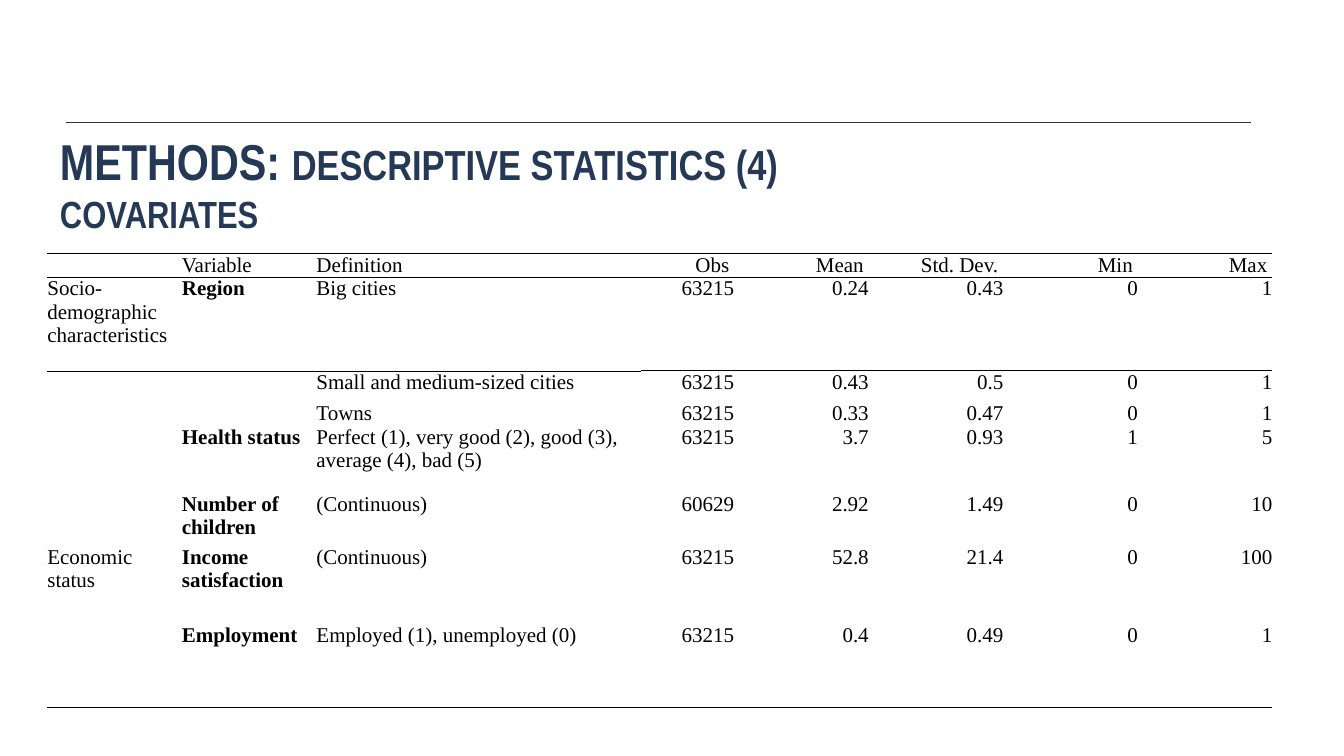
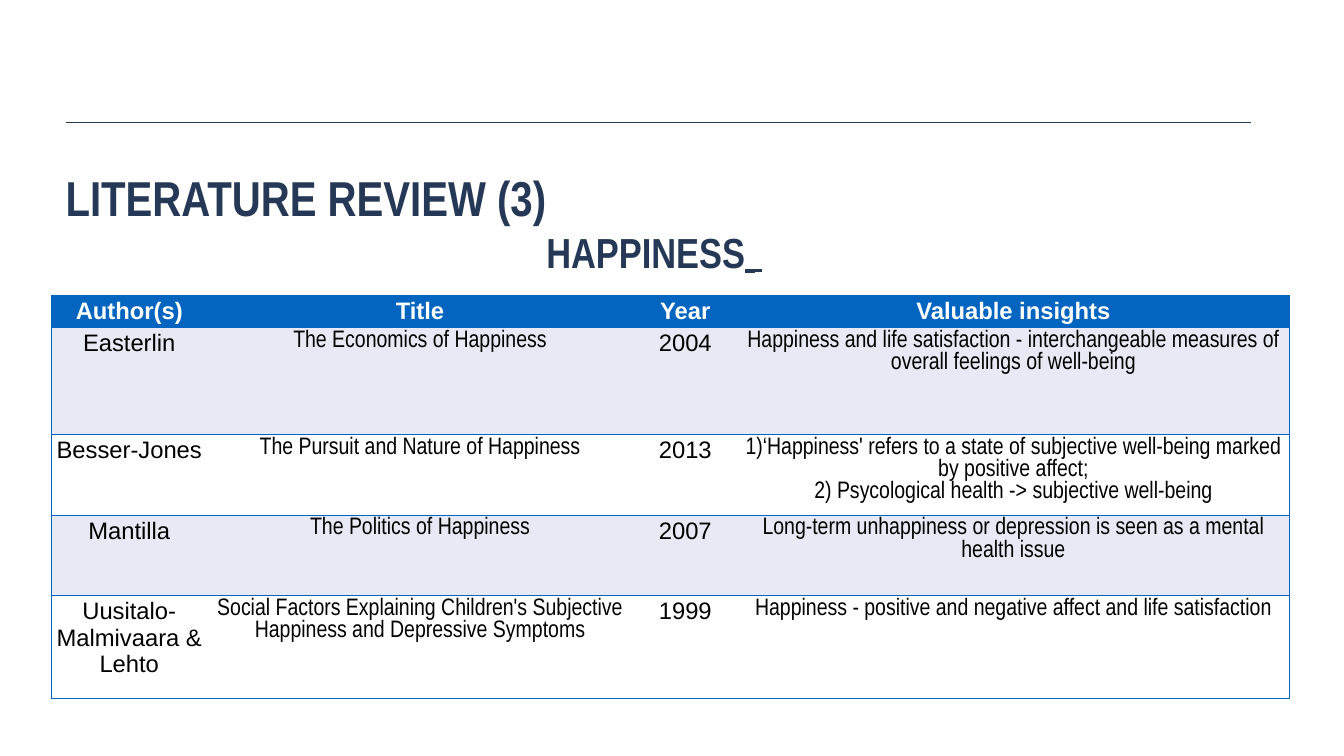
from lxml import etree
from pptx import Presentation
from pptx.dml.color import RGBColor
from pptx.enum.shapes import MSO_CONNECTOR
from pptx.enum.text import MSO_ANCHOR, MSO_AUTO_SIZE, PP_ALIGN
from pptx.oxml.ns import qn
from pptx.util import Inches, Pt

LEFT, CENTER, RIGHT = PP_ALIGN.LEFT, PP_ALIGN.CENTER, PP_ALIGN.RIGHT
TOP = MSO_ANCHOR.TOP
NO_AUTOFIT = MSO_AUTO_SIZE.NONE
STRAIGHT = MSO_CONNECTOR.STRAIGHT

COLORS = {"navy": "253957", "blue": "0365C0", "band": "E7EAF4",
          "white": "FFFFFF", "black": "000000"}
SANS, NARROW, SERIF = "Arial", "Arial Narrow", "Times New Roman"
PLAIN_TABLE_STYLE = "{2D5ABB26-0587-4C30-8999-92F81FD0307C}"
CELL_PARTS = ["lnL", "lnR", "lnT", "lnB", "noFill", "solidFill"]

SLIDE_WIDTH, SLIDE_HEIGHT = 26.67, 15
RULE_LEFT, RULE_RIGHT, RULE_TOP = 1.31, 24.83, 2.42
TITLE_WIDTH, TITLE_HEIGHT, TITLE_INSET = 23.52, 2.53, 0.08
TITLE_LEADING = 1.2

STATISTICS_HEADER = ["", "Variable", "Definition", "Obs", "Mean", "Std. Dev.", "Min", "Max"]
STATISTICS = [
    ["Socio-demographic characteristics", "Region", "Big cities",
     "63215", "0.24", "0.43", "0", "1"],
    ["", "", "Small and medium-sized cities", "63215", "0.43", "0.5", "0", "1"],
    ["", "", "Towns", "63215", "0.33", "0.47", "0", "1"],
    ["", "Health status", "Perfect (1), very good (2), good (3), average (4), bad (5)",
     "63215", "3.7", "0.93", "1", "5"],
    ["", "Number of children", "(Continuous)", "60629", "2.92", "1.49", "0", "10"],
    ["Economic status", "Income satisfaction", "(Continuous)",
     "63215", "52.8", "21.4", "0", "100"],
    ["", "Employment", "Employed (1), unemployed (0)", "63215", "0.4", "0.49", "0", "1"],
]
LITERATURE_HEADER = ["Author(s)", "Title", "Year", "Valuable insights"]
LITERATURE = [
    ["Easterlin", "The Economics of Happiness", "2004",
     "Happiness and life satisfaction - interchangeable measures of overall "
     "feelings of well-being"],
    ["Besser-Jones", "The Pursuit and Nature of Happiness", "2013",
     "1)‘Happiness' refers to a state of subjective well-being marked by positive affect;\n"
     "2) Psycological health -> subjective well-being"],
    ["Mantilla", "The Politics of Happiness", "2007",
     "Long-term unhappiness or depression is seen as a mental health issue"],
    ["Uusitalo-Malmivaara & Lehto",
     "Social Factors Explaining Children's Subjective Happiness and Depressive Symptoms",
     "1999", "Happiness - positive and negative affect and life satisfaction"],
]


def add_span(para, text, size, font, color, bold=False, underline=None):
    """Add one formatted run to a paragraph."""
    span = para.add_run()
    span.text = text
    span.font.size = Pt(size)
    span.font.name = font
    span.font.bold = bold
    span.font.underline = underline
    span.font.color.rgb = RGBColor.from_string(COLORS[color])


def add_paragraphs(frame, count):
    """Return the first paragraph of a frame and enough new ones after it."""
    return [frame.paragraphs[0]] + [frame.add_paragraph() for _ in range(count - 1)]


def add_titled_page(deck, left, top, lines):
    """Add a page with a title of (alignment, spans) lines and the rule above it."""
    page = deck.slides.add_slide(deck.slide_layouts[5])
    title = page.shapes.title
    title.left, title.top = Inches(left), Inches(top)
    title.width, title.height = Inches(TITLE_WIDTH), Inches(TITLE_HEIGHT)
    frame = title.text_frame
    frame.word_wrap = True
    frame.auto_size = NO_AUTOFIT
    frame.vertical_anchor = TOP
    frame.margin_left = frame.margin_right = Inches(TITLE_INSET)
    frame.margin_top = frame.margin_bottom = Inches(TITLE_INSET)
    for para, (alignment, spans) in zip(add_paragraphs(frame, len(lines)), lines):
        para.alignment = alignment
        para.space_before = Pt(0)
        para.line_spacing = Pt(round(TITLE_LEADING * max(size for _, size, _ in spans)))
        for text, size, underline in spans:
            add_span(para, text, size, NARROW, "navy", True, underline)
    rule = page.shapes.add_connector(STRAIGHT, Inches(RULE_LEFT), Inches(RULE_TOP),
                                     Inches(RULE_RIGHT), Inches(RULE_TOP))
    rule.line.color.rgb = RGBColor.from_string(COLORS["navy"])
    rule.line.width = Pt(1)
    etree.SubElement(rule.element.spPr, qn("a:effectLst"))
    return page


def add_plain_table(page, left, top, widths, heights):
    """Add an unstyled table with the given column widths and row heights."""
    frame = page.shapes.add_table(len(heights), len(widths), Inches(left), Inches(top),
                                  Inches(sum(widths)), Inches(sum(heights)))
    for style in frame.element.iter(qn("a:tableStyleId")):
        style.text = PLAIN_TABLE_STYLE
    table = frame.table
    table.first_row = table.horz_banding = False
    for column, width in zip(table.columns, widths):
        column.width = Inches(width)
    for row, height in zip(table.rows, heights):
        row.height = Inches(height)
    return table


def fill_cell(cell, text, alignment, size, font, color, bold=False, fill=None):
    """Write text into a cell, one paragraph a line, and set its fill."""
    if fill:
        cell.fill.solid()
        cell.fill.fore_color.rgb = RGBColor.from_string(COLORS[fill])
    else:
        cell.fill.background()
    if text:
        lines = text.split("\n")
        for para, line in zip(add_paragraphs(cell.text_frame, len(lines)), lines):
            para.alignment = alignment
            add_span(para, line, size, font, color, bold)


def add_border(cell, side, color, width):
    """Draw one side (L, R, T or B) of a cell."""
    properties = cell._tc.get_or_add_tcPr()
    line = etree.SubElement(properties, qn(f"a:ln{side}"), w=str(Pt(width)))
    paint = etree.SubElement(line, qn("a:solidFill"))
    etree.SubElement(paint, qn("a:srgbClr"), val=COLORS[color])
    properties[:] = sorted(
        properties, key=lambda part: CELL_PARTS.index(etree.QName(part).localname))


def rule_row_edge(table, edge, columns, color, width):
    """Draw the horizontal line above row number edge across some columns."""
    for column in columns:
        if edge > 0:
            add_border(table.cell(edge - 1, column), "B", color, width)
        if edge < len(table.rows):
            add_border(table.cell(edge, column), "T", color, width)


def build_statistics(deck):
    """Build the page with descriptive statistics of the covariates."""
    page = add_titled_page(deck, 1.11, 2.51, [
        (LEFT, [("METHODS: ", 72, None), ("DESCRIPTIVE STATISTICS (4)", 60, None)]),
        (LEFT, [("COVARIATES", 54, None)]),
    ])
    widths = [2.67, 2.67, 6.45, 1.84] + [2.67] * 4
    heights = [0.47, 1.86, 0.62, 0.47, 1.33, 1.05, 1.55, 1.65]
    table = add_plain_table(page, 0.94, 5.03, widths, heights)
    for r, row in enumerate([STATISTICS_HEADER] + STATISTICS):
        for c, text in enumerate(row):
            cell = table.cell(r, c)
            cell.margin_left = cell.margin_top = cell.margin_bottom = 0
            cell.margin_right = Inches(0.1) if r == 0 and c > 2 else 0
            fill_cell(cell, text, RIGHT if c > 2 else LEFT, 30, SERIF, "black",
                      bold=r > 0 and c == 1)
    every_column = range(len(widths))
    rule_row_edge(table, 0, every_column, "black", 1)
    rule_row_edge(table, 1, every_column[:3], "black", 1)
    rule_row_edge(table, 1, every_column[3:], "black", 1.5)
    rule_row_edge(table, len(heights), every_column, "black", 0.5)


def build_literature(deck):
    """Build the page with the literature on happiness."""
    page = add_titled_page(deck, 1.22, 3.25, [
        (LEFT, [("LITERATURE REVIEW (3)", 70, None)]),
        (CENTER, [("HAPPINESS", 60, None), (" ", 60, True), (" ", 44, True)]),
    ])
    widths = [3.09, 8.45, 2.08, 10.94]
    heights = [0.64, 2.12, 1.6, 1.6, 2.04]
    table = add_plain_table(page, 1.02, 5.86, widths, heights)
    for c, text in enumerate(LITERATURE_HEADER):
        fill_cell(table.cell(0, c), text, CENTER, 34, SANS, "white", True, "blue")
    for r, row in enumerate(LITERATURE, start=1):
        for c, text in enumerate(row):
            fill_cell(table.cell(r, c), text, CENTER, 34, NARROW if c % 2 else SANS,
                      "black", fill="band" if r % 2 else "white")
    for edge in range(len(heights) + 1):
        rule_row_edge(table, edge, range(len(widths)), "blue", 1)
    for r in range(len(heights)):
        add_border(table.cell(r, 0), "L", "blue", 1)
        add_border(table.cell(r, len(widths) - 1), "R", "blue", 1)


def main():
    """Build both pages and save the deck."""
    deck = Presentation()
    deck.slide_width, deck.slide_height = Inches(SLIDE_WIDTH), Inches(SLIDE_HEIGHT)
    build_statistics(deck)
    build_literature(deck)
    deck.save("out.pptx")


if __name__ == "__main__":
    main()
